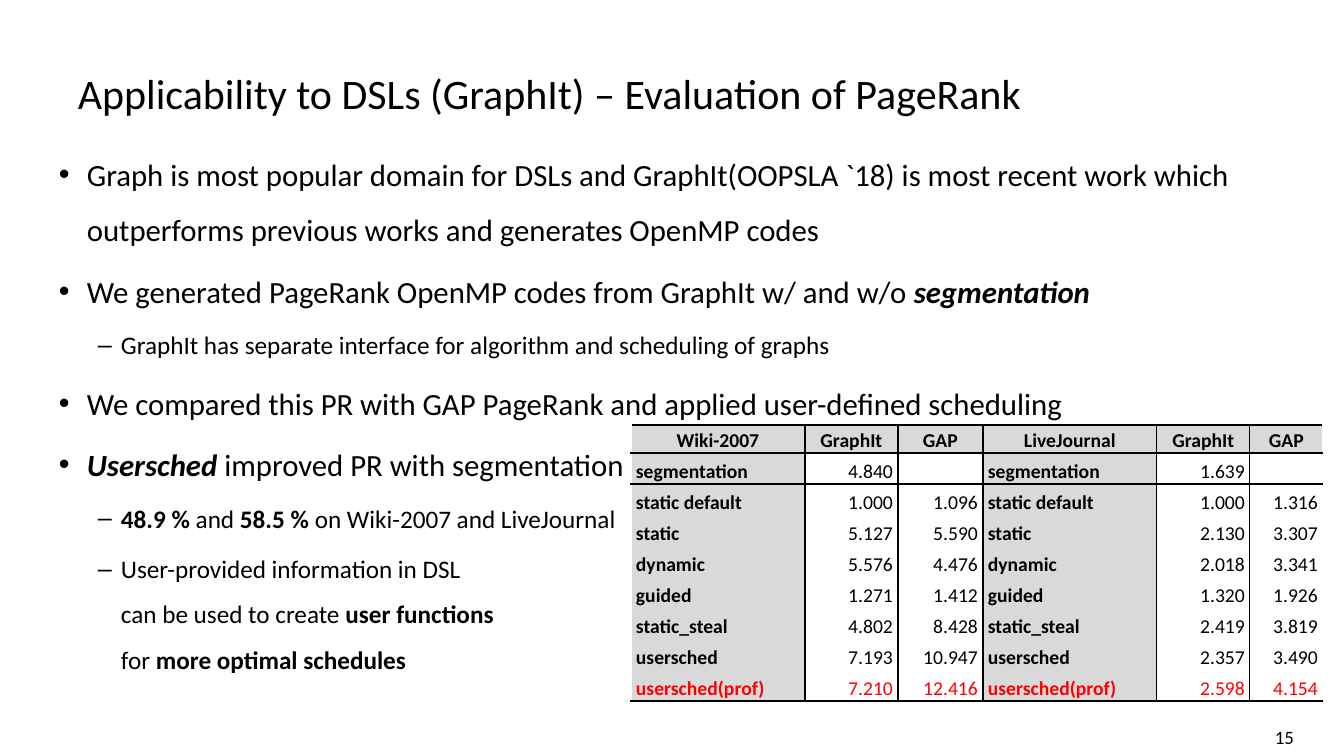
import pptx
import pptx.dml.color
import pptx.enum.text
import pptx.oxml.ns
import pptx.util
from lxml import etree

EMU_PER_PX = 914400 / 100.8
FONT = "Calibri"
COLOURS = {"text": "000000", "best": "FF0000", "label": "D9D9D9",
           "rule": "000000", "edge": "FFFFFF"}
NO_TABLE_STYLE = "{2D5ABB26-0587-4C30-8999-92F81FD0307C}"
ALIGN = pptx.enum.text.PP_ALIGN
ANCHOR = pptx.enum.text.MSO_ANCHOR

# Level -> bullet, left margin, hanging indent, text size
LEVELS = {0: ("•", 28, -28, 22), 1: ("–", 62, -23, 18)}

# Each point: level, then lines of (text, style) pieces
POINTS = [
    (0, [[("Graph is most popular domain for DSLs and GraphIt(OOPSLA `18) is most "
           "recent work which outperforms previous works and generates OpenMP codes", "")]]),
    (0, [[("We generated PageRank OpenMP codes from GraphIt w/ and w/o ", ""),
          ("segmentation", "bi")]]),
    (1, [[("GraphIt has separate interface for algorithm and scheduling of graphs", "")]]),
    (0, [[("We compared this PR with GAP PageRank and applied user-defined scheduling", "")]]),
    (0, [[("Usersched ", "bi"), ("improved PR with segmentation", "")]]),
    (1, [[("48.9 %", "b"), (" and ", ""), ("58.5 % ", "b"),
          ("on Wiki-2007 and LiveJournal", "")]]),
    (1, [[("User-provided information in DSL", "")],
         [("can be used to create ", ""), ("user functions", "b")],
         [("for ", ""), ("more optimal schedules", "b")]]),
]

COLUMN_WIDTHS = [174, 93, 85, 174, 93, 73]
HEADER_HEIGHT, ROW_HEIGHT = 28, 31
LABEL_COLUMNS = (0, 3)
HEADER = ["Wiki-2007", "GraphIt", "GAP", "LiveJournal", "GraphIt", "GAP"]
# Schedule, then GraphIt and GAP on Wiki-2007, GraphIt and GAP on LiveJournal
RESULTS = [
    ("segmentation", "4.840", "", "1.639", ""),
    ("static default", "1.000", "1.096", "1.000", "1.316"),
    ("static", "5.127", "5.590", "2.130", "3.307"),
    ("dynamic", "5.576", "4.476", "2.018", "3.341"),
    ("guided", "1.271", "1.412", "1.320", "1.926"),
    ("static_steal", "4.802", "8.428", "2.419", "3.819"),
    ("usersched", "7.193", "10.947", "2.357", "3.490"),
    ("usersched(prof)", "7.210", "12.416", "2.598", "4.154"),
]


def px(length):
    return pptx.util.Emu(round(length * EMU_PER_PX))


def rgb(name):
    return pptx.dml.color.RGBColor.from_string(COLOURS[name])


def add_element(parent, tag, **attributes):
    return etree.SubElement(parent, pptx.oxml.ns.qn(tag), **attributes)


def format_run(run, size, colour="text", bold=False, italic=False):
    run.font.name = FONT
    run.font.size = pptx.util.Pt(size)
    run.font.color.rgb = rgb(colour)
    run.font.bold = bold
    run.font.italic = italic


def add_text_box(slide, left, top, width, height, anchor=ANCHOR.TOP):
    shape = slide.shapes.add_textbox(px(left), px(top), px(width), px(height))
    shape.text_frame.word_wrap = True
    shape.text_frame.vertical_anchor = anchor
    return shape.text_frame


def add_line_of_text(slide, text, size, *place, anchor=ANCHOR.TOP):
    paragraph = add_text_box(slide, *place, anchor=anchor).paragraphs[0]
    paragraph.text = text
    format_run(paragraph.runs[0], size)


def set_bullet(paragraph, level):
    bullet, margin, indent, _ = LEVELS[level]
    paragraph.level = level
    properties = paragraph._p.get_or_add_pPr()
    properties.set("marL", str(px(margin)))
    properties.set("indent", str(px(indent)))
    add_element(properties, "a:buFont", typeface="Arial")
    add_element(properties, "a:buChar", char=bullet)


def add_points(slide, points, *place):
    text_frame = add_text_box(slide, *place)
    for number, (level, lines) in enumerate(points):
        paragraph = text_frame.add_paragraph() if number else text_frame.paragraphs[0]
        size = LEVELS[level][3]
        set_bullet(paragraph, level)
        paragraph.line_spacing = 1.5
        paragraph.space_before = pptx.util.Pt(0.2 * size if number else 0)
        for line_number, line in enumerate(lines):
            if line_number:
                paragraph.add_line_break()
            for text, style in line:
                run = paragraph.add_run()
                run.text = text
                format_run(run, size, bold="b" in style, italic="i" in style)


def set_borders(cell, borders):
    """Draw 1 pt lines; borders maps L, R, T or B to a colour name."""
    properties = cell._tc.get_or_add_tcPr()
    for side in "LRTB":
        if side in borders:
            line = add_element(properties, f"a:ln{side}", w=str(pptx.util.Pt(1)))
            fill = add_element(line, "a:solidFill")
            add_element(fill, "a:srgbClr", val=COLOURS[borders[side]])


def fill_cell(cell, text, align, bold, colour, shaded):
    cell.margin_left = cell.margin_right = px(5)
    cell.margin_top, cell.margin_bottom = px(1), 0
    cell.vertical_anchor = ANCHOR.BOTTOM
    if shaded:
        cell.fill.solid()
        cell.fill.fore_color.rgb = rgb("label")
    else:
        cell.fill.background()
    paragraph = cell.text_frame.paragraphs[0]
    paragraph.text = text
    paragraph.alignment = align
    for run in paragraph.runs:
        format_run(run, 14, colour, bold)
    if not text:
        add_element(paragraph._p, "a:endParaRPr", sz="1400")


def add_results_table(slide, left, top):
    rows = [HEADER] + [(name, *wiki_and_journal[:2], name, *wiki_and_journal[2:])
                       for name, *wiki_and_journal in RESULTS]
    last_row, last_column = len(rows) - 1, len(HEADER) - 1
    table = slide.shapes.add_table(
        len(rows), len(HEADER), px(left), px(top), px(sum(COLUMN_WIDTHS)),
        px(HEADER_HEIGHT + ROW_HEIGHT * last_row)).table
    table.first_row = table.horz_banding = False
    table._tbl.tblPr[0].text = NO_TABLE_STYLE
    for column, width in zip(table.columns, COLUMN_WIDTHS):
        column.width = px(width)
    for r, values in enumerate(rows):
        table.rows[r].height = px(ROW_HEIGHT if r else HEADER_HEIGHT)
        for c, value in enumerate(values):
            borders = {"L": "rule" if c else "edge",
                       "R": "rule" if c < last_column else "edge"}
            if r in (0, 1):
                borders["T"] = "rule"
            if r in (0, last_row):
                borders["B"] = "rule"
            is_label = r == 0 or c in LABEL_COLUMNS
            align = ALIGN.CENTER if r == 0 else ALIGN.LEFT if is_label else ALIGN.RIGHT
            cell = table.cell(r, c)
            set_borders(cell, borders)
            fill_cell(cell, value, align, is_label,
                      "best" if r == last_row else "text", is_label)


def main():
    presentation = pptx.Presentation()
    presentation.slide_width, presentation.slide_height = px(1344), px(756)
    slide = presentation.slides.add_slide(presentation.slide_layouts[6])
    add_line_of_text(slide, "Applicability to DSLs (GraphIt) – Evaluation of PageRank", 30,
                     68, 30, 966, 126, anchor=ANCHOR.MIDDLE)
    add_points(slide, POINTS, 49, 132, 1240, 512)
    add_line_of_text(slide, "15", 13.5, 1265, 721, 79, 35)
    add_results_table(slide, 631, 425)
    presentation.save("out.pptx")


if __name__ == "__main__":
    main()
